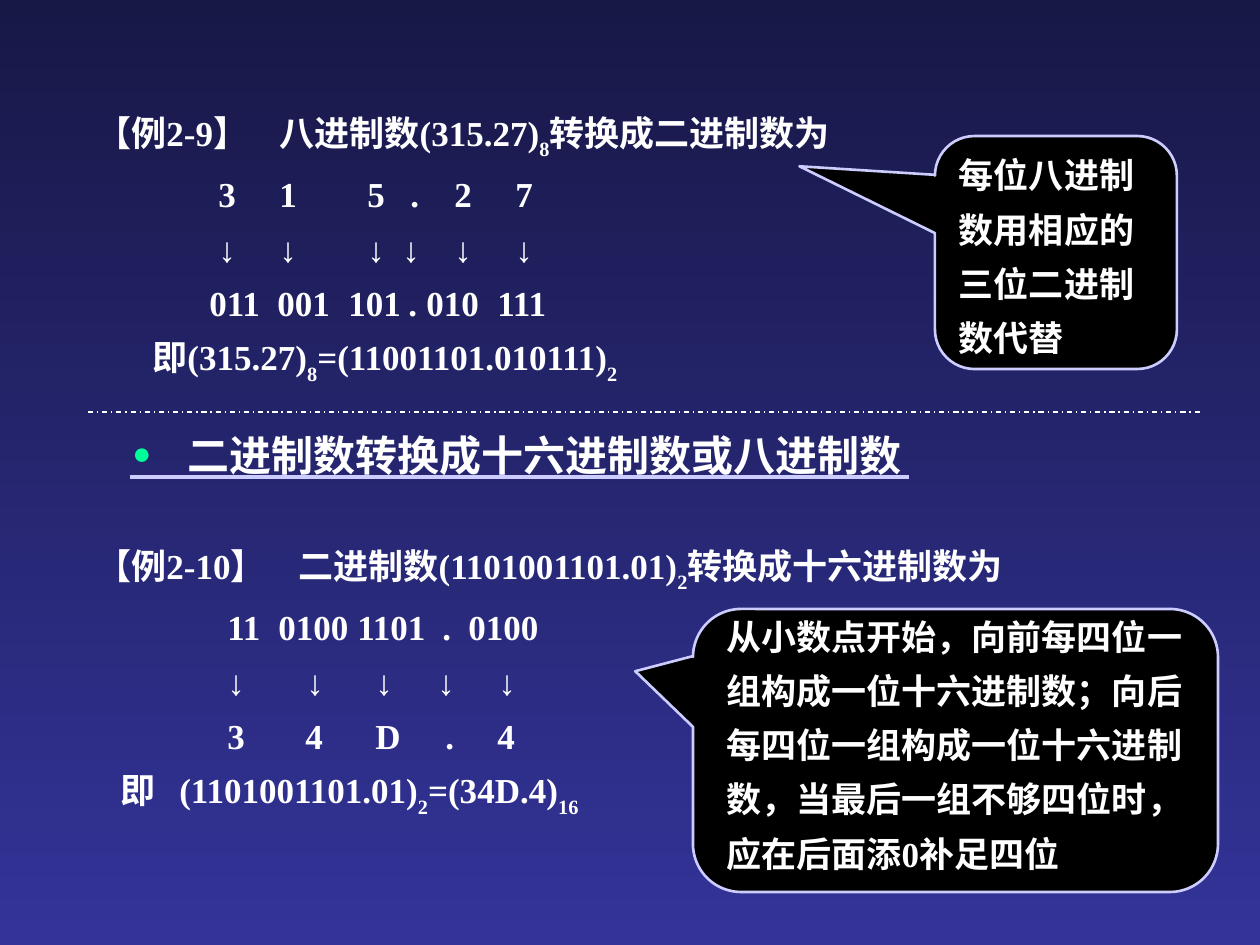
from lxml.etree import SubElement as Sub
from pptx import Presentation
from pptx.dml.color import RGBColor
from pptx.enum.dml import MSO_LINE
from pptx.enum.shapes import MSO_CONNECTOR, MSO_SHAPE
from pptx.enum.text import MSO_ANCHOR, MSO_AUTO_SIZE
from pptx.oxml.ns import qn
from pptx.util import Pt

PX = 914400 // 126
FONT = "Times New Roman"
WHITE, BLACK, LILAC, GREEN = "FFFFFF", "000000", "CCCCFF", "00FF99"
SKY = ["181847", "333399"]

# Rows are cells of (offset in px, text); ~ marks begin and end a subscript
EXAMPLES = [
    ((84, 105, 861, 273), [
        [(0, "【例2-9】"), (183, "八进制数(315.27)~8~转换成二进制数为")],
        [(122, "3"), (183, "1"), (271, "5"), (314, "."), (358, "2"), (419, "7")],
        [(x, "↓") for x in (122, 183, 271, 306, 358, 419)],
        [(113, "011"), (181, "001"), (252, "101"), (312, "."), (330, "010"), (401, "111")],
        [(56, "即(315.27)~8~=(11001101.010111)~2~")],
    ]),
    ((84, 538, 987, 273), [
        [(0, "【例2-10】"), (202, "二进制数(1101001101.01)~2~转换成十六进制数为")],
        [(131, "11"), (182, "0100"), (261, "1101"), (346, "."), (372, "0100")],
        [(x, "↓") for x in (131, 210, 279, 341, 402)],
        [(131, "3"), (209, "4"), (279, "D"), (349, "."), (401, "4")],
        [(24, "即"), (83, "(1101001101.01)~2~=(34D.4)~16~")],
    ]),
]
HEAD = "二进制数转换成十六进制数或八进制数"
OCTAL = ["每位八进制", "数用相应的", "三位二进制", "数代替"]
HEX = ["从小数点开始，向前每四位一", "组构成一位十六进制数；向后", "每四位一组构成一位十六进制",
       "数，当最后一组不够四位时，", "应在后面添0补足四位"]


def rgb(code):
    return RGBColor.from_string(code)


def emu(*nums):
    return [n * PX for n in nums]


def style(par, size=20):
    font = par.font
    font.name, font.size, font.bold = FONT, Pt(size), True
    font.color.rgb = rgb(WHITE)


def write(frame, rows):
    """Fill a frame with rows of tabbed cells."""
    for i, row in enumerate(rows):
        par = frame.paragraphs[0] if i == 0 else frame.add_paragraph()
        if i:
            par.space_before = Pt(7)
        stops = [x for x, _ in row if x]
        if stops:
            tabs = Sub(par._p.get_or_add_pPr(), qn("a:tabLst"))
            for x in stops:
                Sub(tabs, qn("a:tab"), pos=str(x * PX), algn="l")
        style(par)
        line = "".join(("\t" if x else "") + text for x, text in row)
        for j, part in enumerate(line.split("~")):
            if part:
                run = par.add_run()
                run.text = part
                if j % 2:
                    run._r.get_or_add_rPr().set("baseline", "-30000")


def plain(lines):
    return [[(0, text)] for text in lines]


def box(place):
    frame = slide.shapes.add_textbox(*emu(*place)).text_frame
    frame.word_wrap = True
    frame.auto_size = MSO_AUTO_SIZE.SHAPE_TO_FIT_TEXT
    return frame


def callout(place, tip):
    shape = slide.shapes.add_shape(MSO_SHAPE.ROUNDED_RECTANGULAR_CALLOUT, *emu(*place))
    shape.shadow.inherit = False
    for i, value in enumerate((*tip, 0.17)):
        shape.adjustments[i] = value
    shape.fill.solid()
    shape.fill.fore_color.rgb = rgb(BLACK)
    shape.line.color.rgb = rgb(LILAC)
    shape.line.width = Pt(1.5)
    return shape.text_frame


def rule(x1, x2, y, color, width, dash=None):
    line = slide.shapes.add_connector(MSO_CONNECTOR.STRAIGHT, *emu(x1, y, x2, y))
    line.line.color.rgb = rgb(color)
    line.line.width = Pt(width)
    if dash:
        line.line.dash_style = dash
    Sub(line._element.spPr, qn("a:effectLst"))


prs = Presentation()
prs.slide_width, prs.slide_height = emu(1260, 945)
slide = prs.slides.add_slide(prs.slide_layouts[6])

# Background, dark at the top
fill = slide.background.fill
fill.gradient()
fill.gradient_angle = 270
for stop, code in zip(fill.gradient_stops, SKY):
    stop.color.rgb = rgb(code)

# Octal example and its note
write(box(EXAMPLES[0][0]), EXAMPLES[0][1])
note = callout((935, 136, 242, 233), (-1.06, -0.37))
note.vertical_anchor = MSO_ANCHOR.TOP
write(note, plain(OCTAL))
for par in note.paragraphs:
    par.alignment = 1

# Section heading with a green bullet
par = box((120, 423, 872, 64)).paragraphs[0]
pPr = par._p.get_or_add_pPr()
pPr.set("marL", str(55 * PX))
pPr.set("indent", str(-55 * PX))
Sub(Sub(pPr, qn("a:buClr")), qn("a:srgbClr"), val=GREEN)
Sub(pPr, qn("a:buSzPct"), val="75000")
Sub(pPr, qn("a:buFont"), typeface=FONT)
Sub(pPr, qn("a:buChar"), char="●")
style(par, 24)
par.add_run().text = HEAD
rule(130, 909, 477, LILAC, 2.25)
rule(88, 1200, 412, WHITE, 0.75, MSO_LINE.DASH_DOT)

# Hexadecimal example and its note
write(box(EXAMPLES[1][0]), EXAMPLES[1][1])
callout((693, 609, 525, 283), (-0.61, -0.28))
write(box((714, 609, 514, 273)), plain(HEX))

prs.save("out.pptx")
